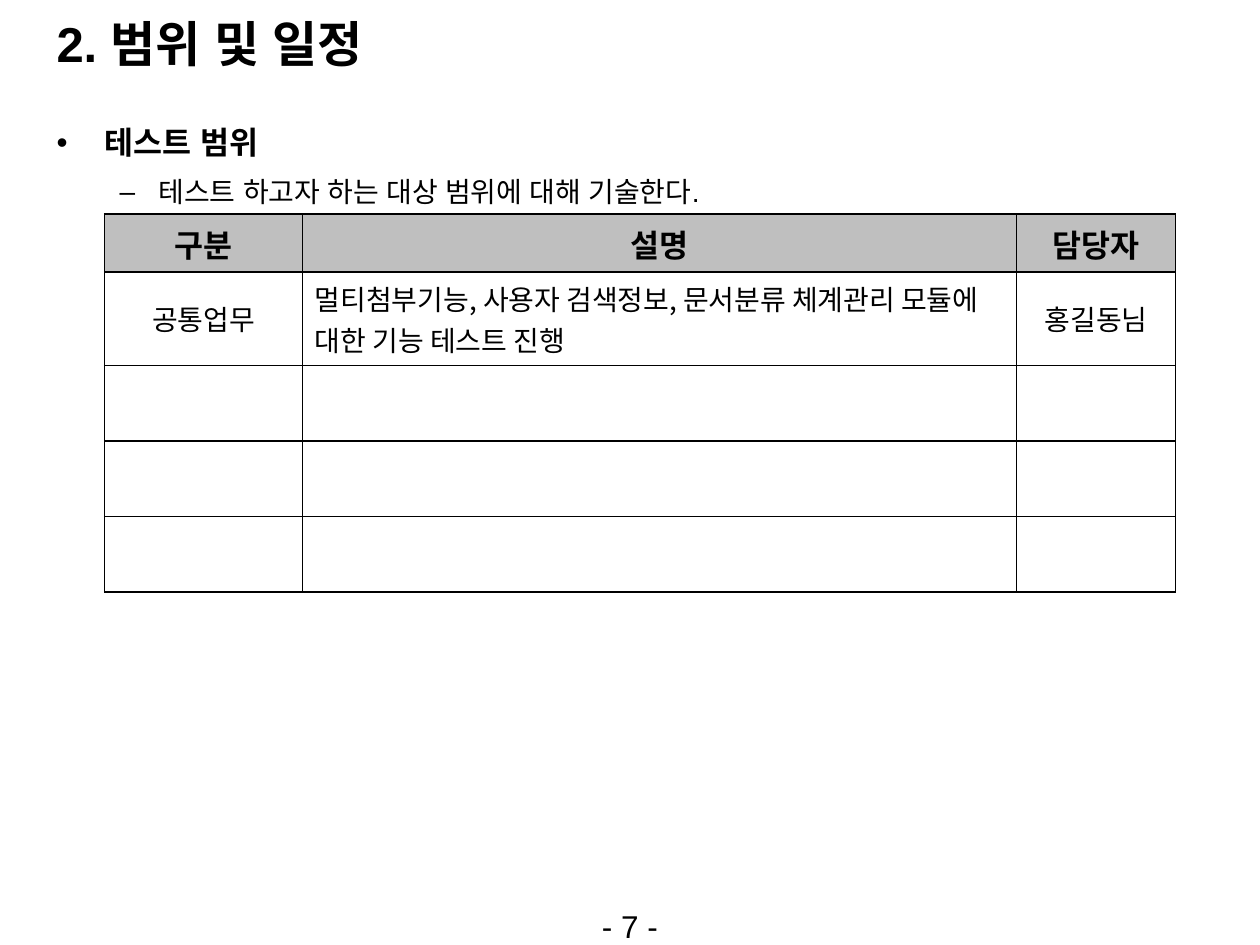
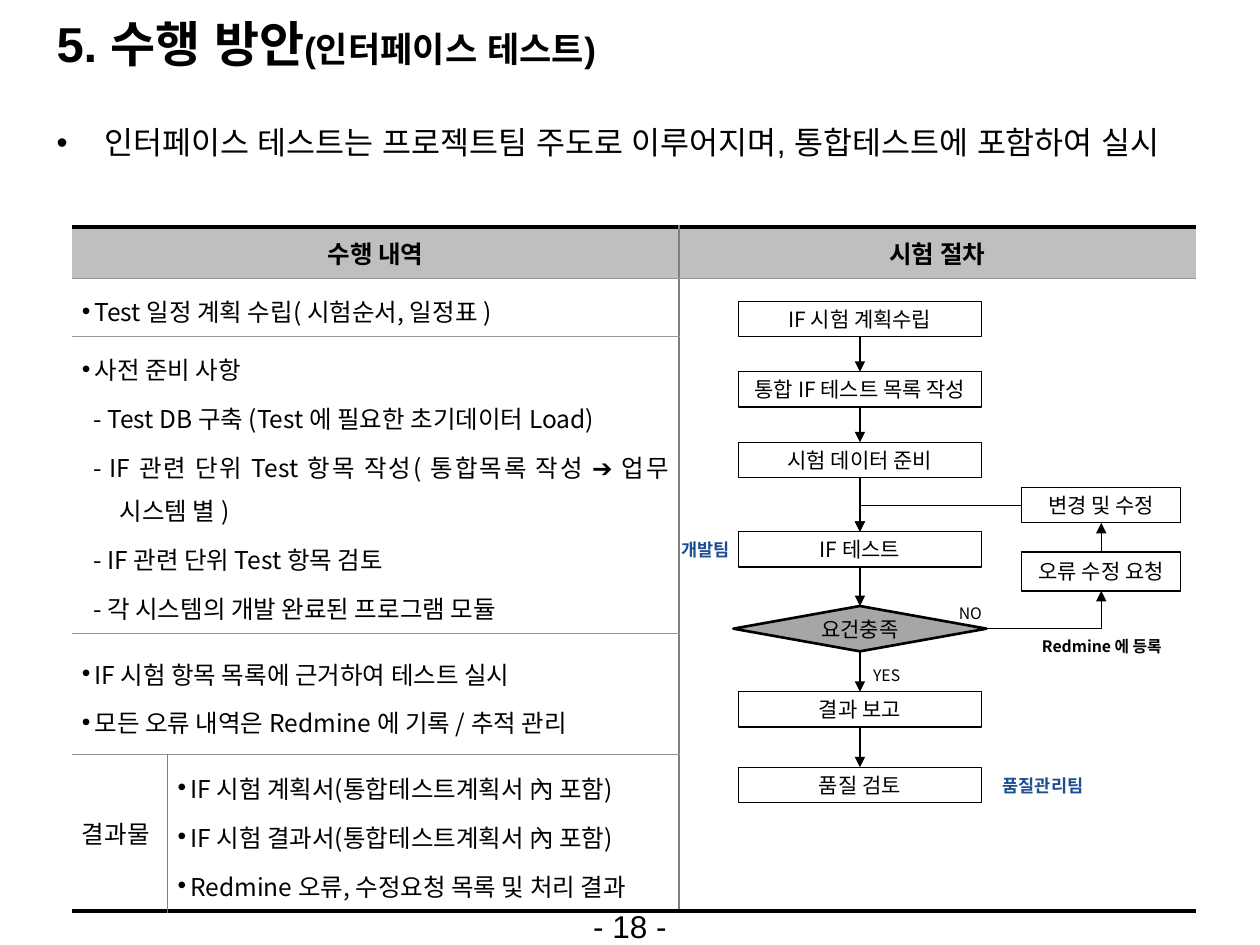
from dataclasses import dataclass

from lxml.etree import SubElement
from pptx import Presentation
from pptx.dml.color import RGBColor
from pptx.enum.shapes import MSO_CONNECTOR, MSO_SHAPE
from pptx.enum.text import MSO_ANCHOR, PP_ALIGN
from pptx.oxml.ns import qn
from pptx.util import Inches, Pt


@dataclass(frozen=True)
class Theme:
    heading_font: str = "Arial"
    body_font: str = "Noto Sans CJK KR"
    black: str = "000000"
    white: str = "FFFFFF"
    header_fill: str = "BFBFBF"
    decision_fill: str = "A6A6A6"
    team_blue: str = "1D4D93"
    rule_gray: str = "969696"
    divider_gray: str = "808080"
    title_size: int = 28
    subtitle_size: int = 20
    large_size: int = 18
    medium_size: int = 16
    table_size: int = 14
    flow_size: int = 12
    team_size: int = 10
    note_size: int = 9


THEME = Theme()
THICK = (THEME.black, 2.25)
RULE = (THEME.rule_gray, 0.75)
DIVIDER = (THEME.divider_gray, 1)
GRID = (THEME.black, 1)
TOP, LEFT, BOTTOM, RIGHT = range(4)


# Text
def style(paragraph, size, bold=False, color=THEME.black, name=THEME.body_font):
    font = paragraph.font
    font.size, font.bold, font.name = Pt(size), bold, name
    font.color.rgb = RGBColor.from_string(color)
    SubElement(font._rPr, qn("a:ea")).set("typeface", name)


def indent(paragraph, left, first, bullet=None):
    properties = paragraph._p.get_or_add_pPr()
    properties.set("marL", str(Inches(left)))
    properties.set("indent", str(Inches(first)))
    if bullet:
        SubElement(properties, qn("a:buFont")).set("typeface", "Arial")
        SubElement(properties, qn("a:buChar")).set("char", bullet)


def next_paragraph(frame, index):
    return frame.add_paragraph() if index else frame.paragraphs[0]


def add_text_box(slide, box, anchor=MSO_ANCHOR.TOP, margin=None):
    frame = slide.shapes.add_textbox(*map(Inches, box)).text_frame
    frame.word_wrap = True
    frame.vertical_anchor = anchor
    if margin is not None:
        frame.margin_left = frame.margin_right = Inches(margin)
        frame.margin_top = frame.margin_bottom = Inches(margin)
    return frame


# Parts that every slide has
def add_page(presentation, title, points, number, subtitle=None):
    """Each point is (text, level, bold)."""
    slide = presentation.slides.add_slide(presentation.slide_layouts[6])

    heading = add_text_box(slide, (0.35, 0.03, 9.29, 0.62), MSO_ANCHOR.MIDDLE).paragraphs[0]
    heading.add_run().text = title
    style(heading, THEME.title_size, True, name=THEME.heading_font)
    if subtitle:
        run = heading.add_run()
        run.text = subtitle
        run.font.size = Pt(THEME.subtitle_size)

    levels = [(0.38, -0.38, "•", THEME.large_size), (0.81, -0.31, "–", THEME.medium_size)]
    body = add_text_box(slide, (0.35, 0.84, 9.29, 0.84))
    for index, (text, level, bold) in enumerate(points):
        paragraph = next_paragraph(body, index)
        paragraph.text = text
        paragraph.line_spacing = 1.3
        if index:
            paragraph.space_before = Pt(2)
        left, first, bullet, size = levels[level]
        indent(paragraph, left, first, bullet)
        style(paragraph, size, bold, name=THEME.heading_font)

    footer = add_text_box(slide, (4.33, 7.15, 1.34, 0.35)).paragraphs[0]
    footer.text = f"- {number} -"
    footer.alignment = PP_ALIGN.CENTER
    style(footer, THEME.large_size, name=THEME.heading_font)
    return slide


# Tables
def add_plain_table(slide, left, top, widths, heights):
    table = slide.shapes.add_table(
        len(heights), len(widths), Inches(left), Inches(top),
        Inches(sum(widths)), Inches(sum(heights))).table
    table.first_row = table.horz_banding = False
    for column, width in zip(table.columns, widths):
        column.width = Inches(width)
    for row, height in zip(table.rows, heights):
        row.height = Inches(height)
    return table


def format_cell(cell, left=None, right=None, top=None, bottom=None, fill=None):
    """Each border is (colour, points), or None for no line."""
    properties = cell._tc.get_or_add_tcPr()
    for tag, border in (("lnL", left), ("lnR", right), ("lnT", top), ("lnB", bottom)):
        line = SubElement(properties, qn(f"a:{tag}"))
        if border:
            color, width = border
            line.set("w", str(Pt(width)))
            solid = SubElement(line, qn("a:solidFill"))
            SubElement(solid, qn("a:srgbClr")).set("val", color)
        else:
            SubElement(line, qn("a:noFill"))
    cell.vertical_anchor = MSO_ANCHOR.MIDDLE
    if fill:
        cell.fill.solid()
        cell.fill.fore_color.rgb = RGBColor.from_string(fill)
    else:
        cell.fill.background()


def write_cell(cell, text, size, bold=False, align=PP_ALIGN.CENTER):
    paragraph = cell.text_frame.paragraphs[0]
    paragraph.text = text
    paragraph.alignment = align
    style(paragraph, size, bold)


def write_list(cell, items):
    """Items that start with a dash are sub-items; the others get a bullet."""
    for index, text in enumerate(items):
        paragraph = next_paragraph(cell.text_frame, index)
        paragraph.text = text
        paragraph.line_spacing = 1.2
        if index:
            paragraph.space_before = Pt(3.5)
        if text.startswith("-"):
            paragraph.alignment = PP_ALIGN.JUSTIFY
            indent(paragraph, 0.3, -0.21)
        else:
            indent(paragraph, 0.1, -0.1, "•")
        style(paragraph, THEME.table_size)


def add_scope_table(slide):
    rows = [
        ("구분", "설명", "담당자"),
        ("공통업무", "멀티첨부기능, 사용자 검색정보, 문서분류 체계관리 모듈에 대한 기능 테스트 진행", "홍길동님"),
    ]
    table = add_plain_table(slide, 0.83, 1.7, [1.57, 5.67, 1.26], [0.46, 0.74] + [0.6] * 3)
    for row in range(5):
        for column in range(3):
            header = row == 0
            cell = table.cell(row, column)
            format_cell(cell, GRID, GRID, GRID, GRID, THEME.header_fill if header else None)
            if row < len(rows):
                size = THEME.large_size if header else THEME.medium_size
                description = column == 1 and not header
                write_cell(cell, rows[row][column], size, header,
                           PP_ALIGN.LEFT if description else PP_ALIGN.CENTER)


def add_activity_table(slide):
    # The row heights end the table just above the page number
    table = add_plain_table(slide, 0.57, 1.8, [0.76, 4.06, 4.1],
                            [0.41, 0.46, 2.36, 0.46, 0.5, 1.24])
    last = 5
    for row in range(last + 1):
        for column in range(3):
            listed = column < 2
            cell = table.cell(row, column)
            format_cell(
                cell,
                left=DIVIDER if column == 2 or (row, column) == (last, 1) else None,
                right=DIVIDER if column == 1 or (row, column) == (last, 0) else None,
                top=THICK if row == 0 else RULE if row == 1 or listed and row != 4 else None,
                bottom=THICK if row == last else RULE if row == 0 or listed and row != 3 else None,
                fill=THEME.header_fill if row == 0 else None)
            cell.margin_left = cell.margin_right = Inches(0.08)
            cell.margin_top = cell.margin_bottom = Inches(0.06)
    for first, final in ((0, 0), (1, 1), (2, 2), (3, 4)):
        table.cell(first, 0).merge(table.cell(final, 1))

    write_cell(table.cell(0, 0), "수행 내역", THEME.table_size, True)
    write_cell(table.cell(0, 2), "시험 절차", THEME.table_size, True)
    write_cell(table.cell(last, 0), "결과물", THEME.table_size, align=PP_ALIGN.LEFT)
    write_list(table.cell(1, 0), ["Test 일정 계획 수립( 시험순서, 일정표 )"])
    write_list(table.cell(2, 0), [
        "사전 준비 사항",
        "- Test DB 구축 (Test 에 필요한 초기데이터 Load)",
        "- IF 관련 단위 Test 항목 작성( 통합목록 작성 ➔ 업무 시스템 별 )",
        "- IF 관련 단위 Test 항목 검토",
        "- 각 시스템의 개발 완료된 프로그램 모듈",
    ])
    write_list(table.cell(3, 0), [
        "IF 시험 항목 목록에 근거하여 테스트 실시",
        "모든 오류 내역은 Redmine 에 기록 / 추적 관리",
    ])
    write_list(table.cell(last, 1), [
        "IF 시험 계획서(통합테스트계획서 內 포함)",
        "IF 시험 결과서(통합테스트계획서 內 포함)",
        "Redmine 오류, 수정요청 목록 및 처리 결과",
    ])


# Flowchart
def add_step(slide, text, box, kind=MSO_SHAPE.RECTANGLE, fill=THEME.white, line_width=0.75):
    shape = slide.shapes.add_shape(kind, *map(Inches, box))
    shape.shadow.inherit = False
    shape.fill.solid()
    shape.fill.fore_color.rgb = RGBColor.from_string(fill)
    shape.line.color.rgb = RGBColor.from_string(THEME.black)
    shape.line.width = Pt(line_width)
    frame = shape.text_frame
    frame.word_wrap = False
    frame.vertical_anchor = MSO_ANCHOR.MIDDLE
    paragraph = frame.paragraphs[0]
    paragraph.text = text
    paragraph.alignment = PP_ALIGN.CENTER
    style(paragraph, THEME.flow_size)
    return shape


def add_arrow(slide, start, start_side, end, end_side, bent=False):
    kind = MSO_CONNECTOR.ELBOW if bent else MSO_CONNECTOR.STRAIGHT
    arrow = slide.shapes.add_connector(kind, 0, 0, 0, 0)
    arrow.begin_connect(start, start_side)
    arrow.end_connect(end, end_side)
    arrow.line.color.rgb = RGBColor.from_string(THEME.black)
    arrow.line.width = Pt(0.75)
    properties = arrow._element.spPr
    if bent:
        properties.find(qn("a:prstGeom")).set("prst", "bentConnector2")
    SubElement(properties.find(qn("a:ln")), qn("a:tailEnd")).set("type", "triangle")
    SubElement(properties, qn("a:effectLst"))


def add_label(slide, text, box, size=THEME.note_size, bold=False, color=THEME.black):
    paragraph = add_text_box(slide, box, MSO_ANCHOR.MIDDLE, margin=0).paragraphs[0]
    paragraph.text = text
    style(paragraph, size, bold, color)


def add_test_flow(slide):
    def main_step(text, top):
        return add_step(slide, text, (5.86, top, 1.93, 0.28))

    plan = main_step("IF 시험 계획수립", 2.39)
    test_list = main_step("통합 IF 테스트 목록 작성", 2.95)
    data = main_step("시험 데이터 준비", 3.51)
    test = main_step("IF 테스트", 4.22)
    decision = add_step(slide, "요건충족", (5.82, 4.81, 2.01, 0.36),
                        MSO_SHAPE.FLOWCHART_DECISION, THEME.decision_fill, 1.5)
    report = main_step("결과 보고", 5.49)
    review = main_step("품질 검토", 6.09)
    change = add_step(slide, "변경 및 수정", (8.11, 3.87, 1.26, 0.28))
    request = add_step(slide, "오류 수정 요청", (8.11, 4.38, 1.26, 0.31))

    steps = [plan, test_list, data, test, decision, report, review]
    for upper, lower in zip(steps, steps[1:]):
        add_arrow(slide, upper, BOTTOM, lower, TOP)
    add_arrow(slide, decision, RIGHT, request, BOTTOM, bent=True)
    add_arrow(slide, request, TOP, change, BOTTOM)
    add_arrow(slide, change, LEFT, test, TOP, bent=True)

    add_label(slide, "NO", (7.61, 4.73, 0.34, 0.28))
    add_label(slide, "YES", (6.93, 5.22, 0.53, 0.28))
    add_label(slide, "Redmine 에 등록", (8.27, 4.99, 1.06, 0.27), bold=True)
    for team, box in (("개발팀", (5.41, 4.22, 0.43, 0.28)), ("품질관리팀", (7.96, 6.09, 0.83, 0.28))):
        add_label(slide, team, box, THEME.team_size, True, THEME.team_blue)


def main():
    presentation = Presentation()
    presentation.slide_width, presentation.slide_height = Inches(10), Inches(7.5)

    scope = add_page(presentation, "2. 범위 및 일정", [
        ("테스트 범위", 0, True),
        ("테스트 하고자 하는 대상 범위에 대해 기술한다.", 1, False),
    ], 7)
    add_scope_table(scope)

    method = add_page(presentation, "5. 수행 방안", [
        ("인터페이스 테스트는 프로젝트팀 주도로 이루어지며, 통합테스트에 포함하여 실시", 0, False),
    ], 18, "(인터페이스 테스트)")
    add_activity_table(method)
    add_test_flow(method)

    presentation.save("out.pptx")


if __name__ == "__main__":
    main()
